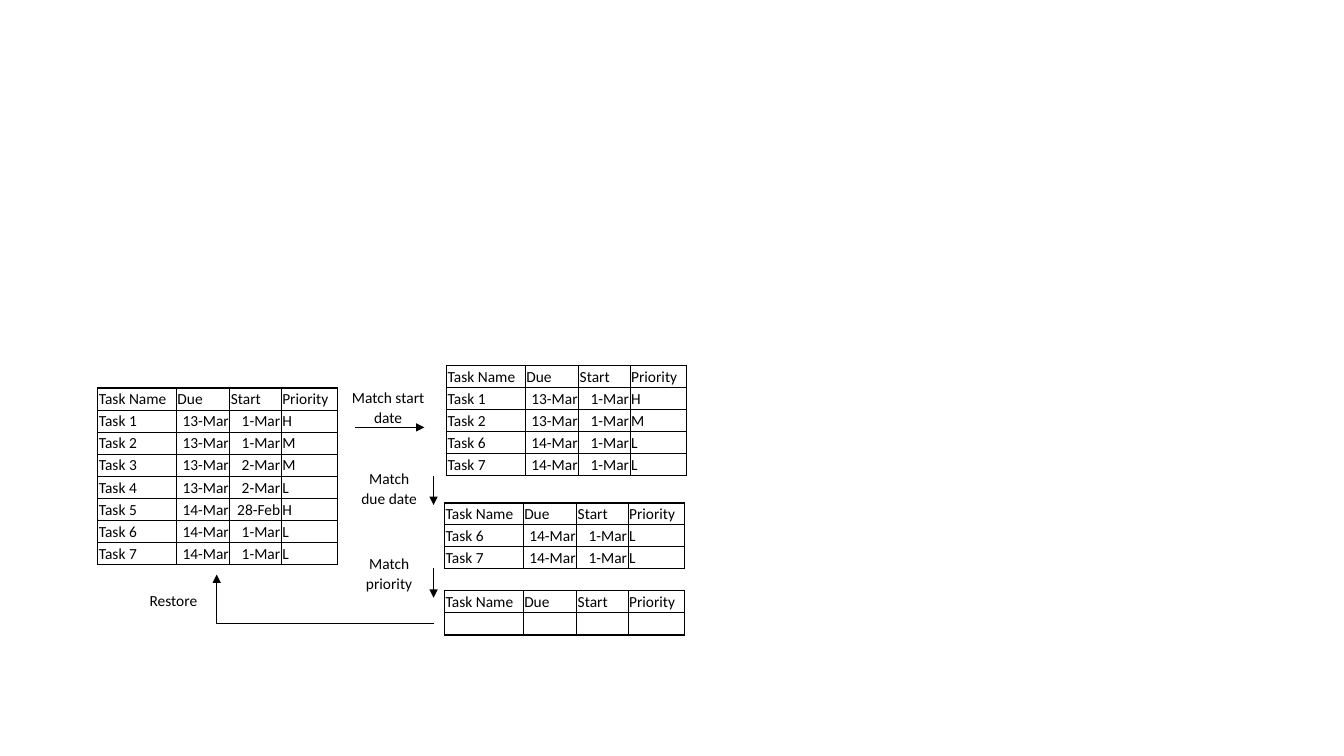
from lxml.etree import SubElement
from pptx import Presentation
from pptx.dml.color import RGBColor
from pptx.enum.shapes import MSO_CONNECTOR
from pptx.enum.text import MSO_ANCHOR, PP_ALIGN
from pptx.oxml.ns import qn
from pptx.util import Inches, Pt

BLACK = RGBColor(0x00, 0x00, 0x00)
WHITE = RGBColor(0xFF, 0xFF, 0xFF)
FONT_SIZE = Pt(11)
COLUMN_WIDTHS = (0.78, 0.53, 0.51, 0.56)
HEADER = ("Task Name", "Due", "Start", "Priority")
DATE_COLUMNS = (1, 2)

deck = Presentation()
deck.slide_width, deck.slide_height = Inches(13.33), Inches(7.5)
page = deck.slides.add_slide(deck.slide_layouts[6])


def write(para, text, align):
    para.text = text
    para.alignment = align
    for span in para.runs:
        span.font.name = "Calibri"
        span.font.size = FONT_SIZE
        span.font.color.rgb = BLACK


def format_cell(cell, text, align, fill):
    cell.margin_left = cell.margin_right = cell.margin_top = Inches(0.01)
    cell.margin_bottom = 0
    cell.vertical_anchor = MSO_ANCHOR.MIDDLE
    para = cell.text_frame.paragraphs[0]
    write(para, text, align)
    if not text:  # keeps an empty row at the height of the others
        SubElement(para._p, qn("a:endParaRPr"), sz=str(FONT_SIZE.centipoints))
    properties = cell._tc.get_or_add_tcPr()
    for side in ("a:lnL", "a:lnR", "a:lnT", "a:lnB"):
        border = SubElement(properties, qn(side), w=str(Pt(1)))
        solid = SubElement(border, qn("a:solidFill"))
        SubElement(solid, qn("a:srgbClr"), val=str(BLACK))
    if fill is None:
        cell.fill.background()
    else:
        cell.fill.solid()
        cell.fill.fore_color.rgb = fill


# Task list and the three filtered lists
task_1 = ("Task 1", "13-Mar", "1-Mar", "H")
task_2 = ("Task 2", "13-Mar", "1-Mar", "M")
task_3 = ("Task 3", "13-Mar", "2-Mar", "M")
task_4 = ("Task 4", "13-Mar", "2-Mar", "L")
task_5 = ("Task 5", "14-Mar", "28-Feb", "H")
task_6 = ("Task 6", "14-Mar", "1-Mar", "L")
task_7 = ("Task 7", "14-Mar", "1-Mar", "L")
no_task = ("", "", "", "")

task_tables = [
    (0.97, 3.85, 1.75, None,
     [task_1, task_2, task_3, task_4, task_5, task_6, task_7]),
    (4.43, 3.63, 1.09, WHITE, [task_1, task_2, task_6, task_7]),
    (4.41, 4.99, 0.65, None, [task_6, task_7]),
    (4.41, 5.86, 0.44, None, [no_task]),
]
for left, top, height, fill, tasks in task_tables:
    rows = [HEADER] + tasks
    table = page.shapes.add_table(
        len(rows), len(HEADER), Inches(left), Inches(top),
        Inches(sum(COLUMN_WIDTHS)), Inches(height)).table
    table.first_row = table.horz_banding = False
    for column, width in zip(table.columns, COLUMN_WIDTHS):
        column.width = Inches(width)
    for row_index, row in enumerate(rows):
        for column_index, text in enumerate(row):
            is_date = row_index > 0 and column_index in DATE_COLUMNS
            align = PP_ALIGN.RIGHT if is_date else PP_ALIGN.LEFT
            format_cell(table.cell(row_index, column_index), text, align, fill)

# Step labels
labels = [
    ("Match start date", 3.27, 3.79, 1.16, 0.41),
    ("Match due date", 3.43, 4.59, 0.86, 0.5),
    ("Match priority", 3.43, 5.44, 0.86, 0.5),
    ("Restore", 1.29, 5.8, 0.86, 0.29),
]
for text, *place in labels:
    box = page.shapes.add_textbox(*map(Inches, place))
    box.text_frame.word_wrap = True
    para = box.text_frame.paragraphs[0]
    write(para, text, PP_ALIGN.CENTER)
    para.line_spacing = 1.07
    para.space_after = Pt(8)

# Arrows between the steps
arrows = [
    (MSO_CONNECTOR.STRAIGHT, 3.52, 4.24, 4.21, 4.24),
    (MSO_CONNECTOR.STRAIGHT, 4.3, 4.72, 4.3, 5.01),
    (MSO_CONNECTOR.STRAIGHT, 4.3, 5.64, 4.3, 5.93),
    (MSO_CONNECTOR.ELBOW, 4.3, 6.18, 2.15, 5.7),
]
for kind, *ends in arrows:
    arrow = page.shapes.add_connector(kind, *map(Inches, ends))
    arrow.line.color.rgb = BLACK
    arrow.line.width = Pt(0.5)
    SubElement(arrow.line._get_or_add_ln(), qn("a:tailEnd"), type="triangle")
    properties = arrow._element.spPr
    SubElement(properties, qn("a:effectLst"))
    if kind == MSO_CONNECTOR.ELBOW:  # bend at the far end of the run
        adjustments = properties.find(qn("a:prstGeom")).find(qn("a:avLst"))
        SubElement(adjustments, qn("a:gd"), name="adj1", fmla="val 100000")

deck.save("out.pptx")
